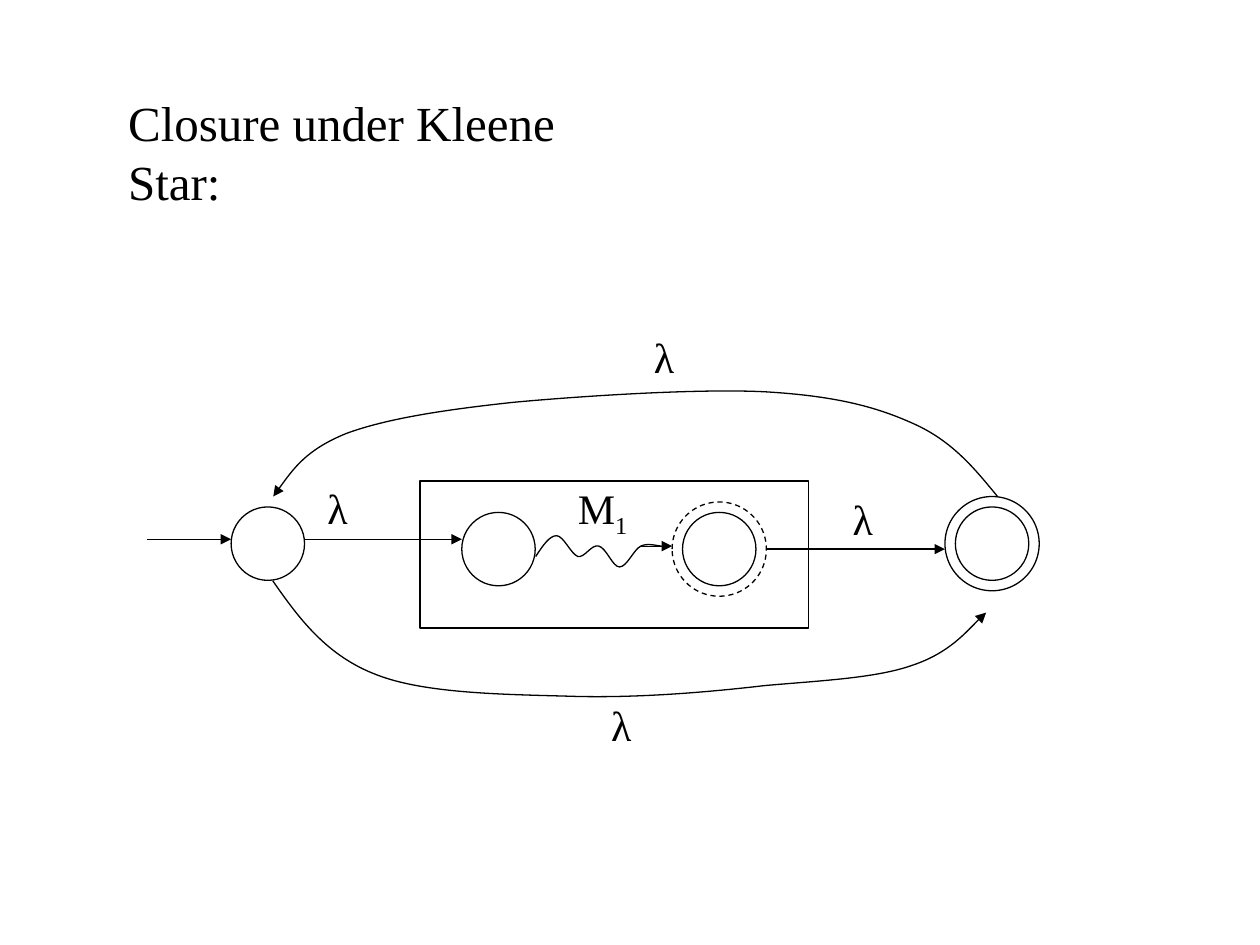
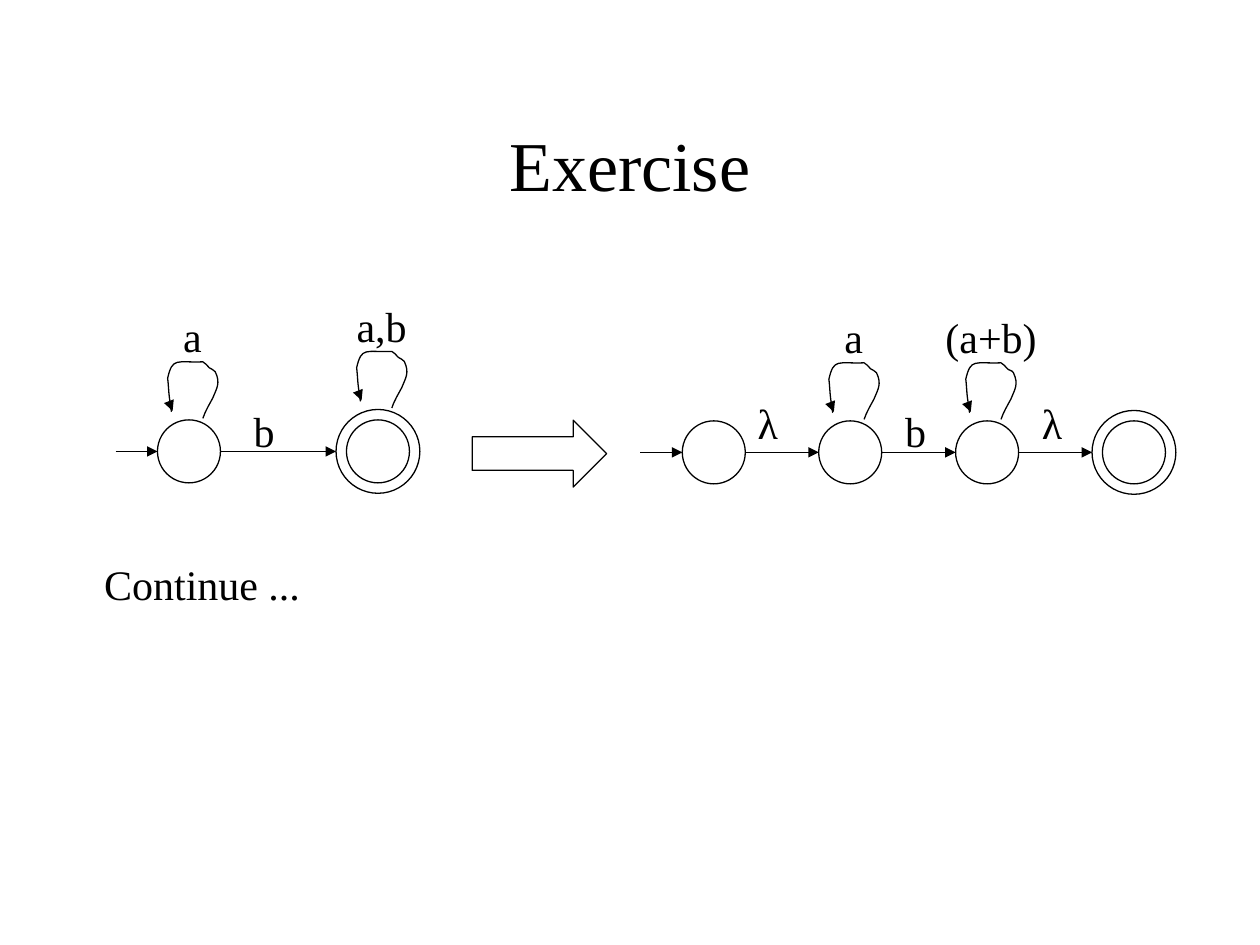
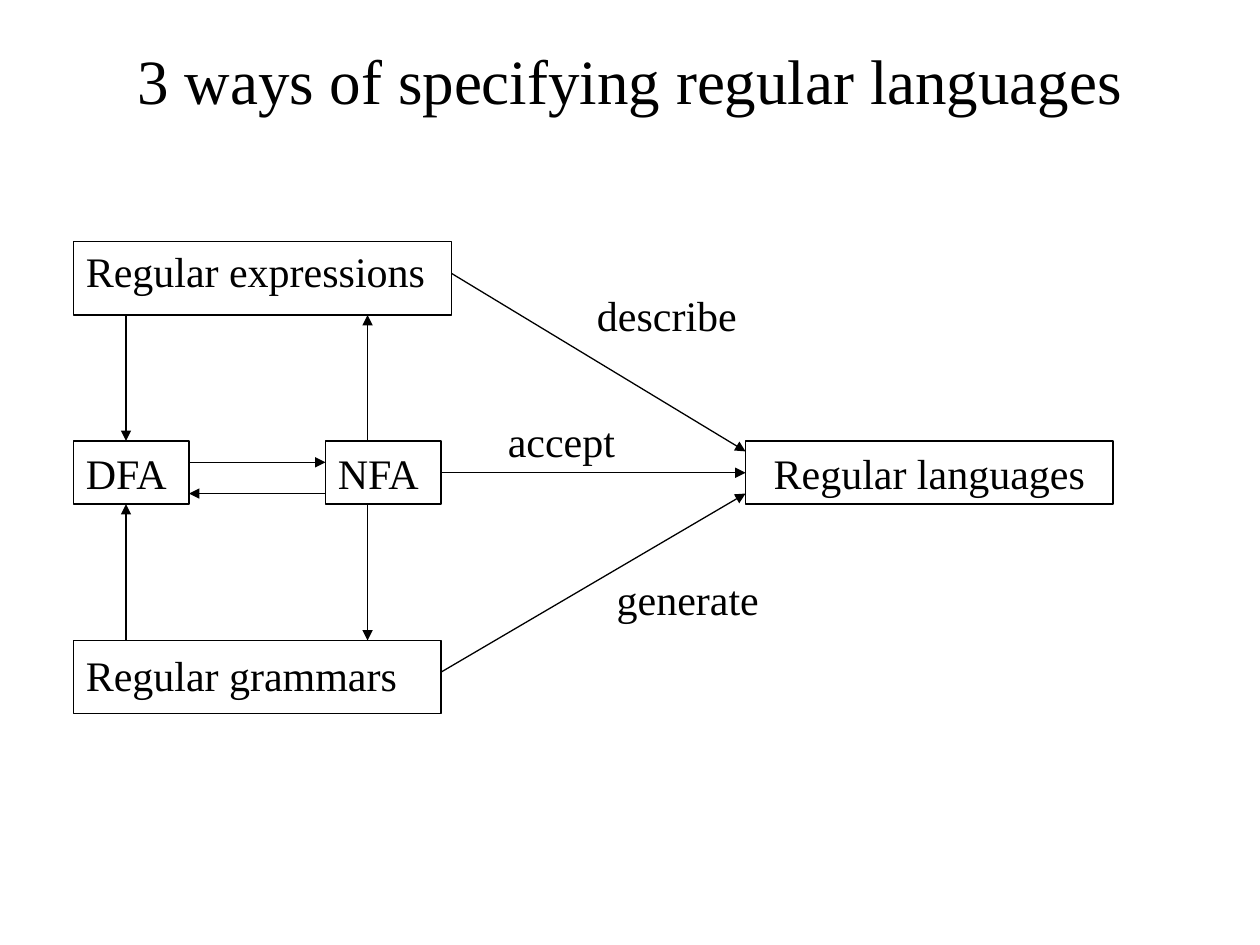
"""Build three slides on finite automata and regular languages."""
from typing import NamedTuple

from lxml.etree import SubElement
from pptx import Presentation
from pptx.dml.color import RGBColor
from pptx.enum.dml import MSO_LINE
from pptx.enum.shapes import MSO_CONNECTOR, MSO_SHAPE
from pptx.enum.text import MSO_ANCHOR, MSO_AUTO_SIZE, PP_ALIGN
from pptx.oxml.ns import qn
from pptx.util import Cm, Pt

BLACK = RGBColor(0x00, 0x00, 0x00)
WHITE = RGBColor(0xFF, 0xFF, 0xFF)
FONT = "Times New Roman"
TEXT_SIZE = 24
LINE_WIDTH = Pt(0.75)
LABEL_HEIGHT = 1.27
LETTER_WIDTH = 0.91
STATE_RADIUS = 0.635
RING_GAP = 0.21

SKIP_CURVE = [
    (0.53, 0.76), (1.09, 1.52), (2.11, 1.9),
    (3.12, 2.29), (4.83, 2.29), (6.12, 2.33),
    (7.44, 2.36), (8.81, 2.24), (9.93, 2.11),
    (11.07, 2.01), (12.17, 1.96), (12.9, 1.7),
    (13.64, 1.45), (14.15, 0.84), (14.38, 0.64)]
REPEAT_CURVE = [
    (-0.46, -0.56), (-0.91, -1.12), (-1.7, -1.47),
    (-2.49, -1.83), (-3.33, -2.03), (-4.67, -2.11),
    (-5.99, -2.18), (-8.33, -2.03), (-9.75, -1.9),
    (-11.15, -1.75), (-12.32, -1.57), (-13.13, -1.27),
    (-13.94, -0.94), (-14.27, -0.46), (-14.6, 0)]
RUN_CURVE = [
    (0.15, -0.23), (0.28, -0.42), (0.42, -0.42),
    (0.56, -0.42), (0.71, -0.05), (0.85, 0),
    (0.99, 0.03), (1.12, -0.25), (1.27, -0.21),
    (1.42, -0.18), (1.55, 0.21), (1.69, 0.21),
    (1.84, 0.21), (1.98, -0.15), (2.12, -0.21),
    (2.26, -0.28), (2.46, -0.21), (2.54, -0.21)]
LOOP_CURVE = [
    (0.05, -0.15), (0.13, -0.28), (0.2, -0.41),
    (0.28, -0.61), (0.36, -0.71), (0.25, -0.94),
    (0.23, -0.99), (0.15, -0.99), (0.13, -1.02),
    (0.08, -1.07), (0.05, -1.12), (0, -1.14),
    (-0.53, -1.12), (-0.61, -1.24), (-0.71, -0.81),
    (-0.69, -0.66), (-0.69, -0.48), (-0.66, -0.33),
    (-0.61, 0.05), (-0.61, -0.33), (-0.61, -0.15)]


class State(NamedTuple):
    """A state of an automaton, with the label of its loop if it has one."""
    x: float
    loop: str = ""
    loop_width: float = 0
    final: bool = False

    @property
    def radius(self):
        """Return the outer radius, ring included."""
        return STATE_RADIUS + (RING_GAP if self.final else 0)


class Edge(NamedTuple):
    """The label between two states, with its shift and its rise."""
    text: str
    shift: float
    rise: float


def format_text(paragraph, size=TEXT_SIZE, align=PP_ALIGN.LEFT):
    """Set the shared font on a paragraph."""
    paragraph.alignment = align
    paragraph.font.name = FONT
    paragraph.font.size = Pt(size)
    paragraph.font.color.rgb = BLACK


def add_title(slide, text, left, top, width, height, size, align=PP_ALIGN.CENTER):
    """Place and format the title placeholder."""
    title = slide.shapes.title
    title.left, title.top, title.width, title.height = map(Cm, (left, top, width, height))
    frame = title.text_frame
    frame.text = text
    frame.auto_size = MSO_AUTO_SIZE.NONE
    frame.vertical_anchor = MSO_ANCHOR.MIDDLE
    format_text(frame.paragraphs[0], size, align)


def add_label(slide, text, left, top, width=LETTER_WIDTH, align=PP_ALIGN.LEFT):
    """Add a one-line label and return its paragraph."""
    label = slide.shapes.add_textbox(Cm(left), Cm(top), Cm(width), Cm(LABEL_HEIGHT))
    label.text_frame.word_wrap = False
    paragraph = label.text_frame.paragraphs[0]
    paragraph.text = text
    format_text(paragraph, align=align)
    return paragraph


def draw_line(line):
    """Give a line the shared colour and width."""
    line.color.rgb = BLACK
    line.width = LINE_WIDTH


def add_arrowhead(shape):
    """Put a triangle at the end of a line."""
    SubElement(shape.element.spPr.find(qn("a:ln")), qn("a:tailEnd"), type="triangle")


def add_outline(slide, kind, left, top, width, height):
    """Add an unfilled preset shape."""
    outline = slide.shapes.add_shape(kind, Cm(left), Cm(top), Cm(width), Cm(height))
    outline.shadow.inherit = False
    outline.fill.background()
    draw_line(outline.line)
    return outline


def add_circle(slide, x, y, radius):
    """Add a circle around a centre."""
    return add_outline(slide, MSO_SHAPE.OVAL, x - radius, y - radius, 2 * radius, 2 * radius)


def add_arrow(slide, x1, y1, x2, y2):
    """Add a straight arrow."""
    arrow = slide.shapes.add_connector(MSO_CONNECTOR.STRAIGHT, Cm(x1), Cm(y1), Cm(x2), Cm(y2))
    draw_line(arrow.line)
    add_arrowhead(arrow)
    SubElement(arrow.element.spPr, qn("a:effectLst"))


def add_curve(slide, x, y, offsets, arrowhead=True):
    """Add a curve of cubic segments, given by offsets from its start."""
    builder = slide.shapes.build_freeform(Cm(x), Cm(y))
    builder.add_line_segments([(Cm(x + dx), Cm(y + dy)) for dx, dy in offsets], close=False)
    curve = builder.convert_to_shape()
    curve.shadow.inherit = False
    curve.fill.background()
    draw_line(curve.line)
    if arrowhead:
        add_arrowhead(curve)
    outline = next(curve.element.iter(qn("a:path")))
    steps = outline.findall(qn("a:lnTo"))
    for first in range(0, len(steps), 3):
        cubic = SubElement(outline, qn("a:cubicBezTo"))
        for step in steps[first:first + 3]:
            cubic.append(step[0])
            outline.remove(step)


def add_kleene_star(slide, left, top):
    """Draw the automaton that repeats a machine any number of times."""
    radius, ring = 0.74, 0.95
    outer_axis, inner_axis = top + 4.41, top + 4.52
    for x, axis in ((2.43, outer_axis), (7.08, inner_axis),
                    (11.53, inner_axis), (17.03, outer_axis)):
        add_circle(slide, left + x, axis, radius)
    add_circle(slide, left + 17.03, outer_axis, ring)
    add_circle(slide, left + 11.53, inner_axis, ring).line.dash_style = MSO_LINE.DASH
    add_outline(slide, MSO_SHAPE.RECTANGLE, left + 5.5, top + 3.15, 7.83, 2.96)
    for x1, x2, y in ((0, 1.69, 4.32), (3.17, 6.34, 4.32),
                      (9.94, 10.58, 4.46), (12.48, 16.08, 4.52)):
        add_arrow(slide, left + x1, top + y, left + x2, top + y)
    add_curve(slide, left + 2.53, top + 5.16, SKIP_CURVE)
    add_curve(slide, left + 17.14, top + 3.46, REPEAT_CURVE)
    add_curve(slide, left + 7.83, top + 4.67, RUN_CURVE, arrowhead=False)
    for x, y in ((9.96, 0), (3.38, 3.05), (13.97, 3.28), (9.1, 7.42)):
        add_label(slide, "λ", left + x, top + y)
    machine = add_label(slide, "M", left + 8.43, top + 3.05, 1.5)
    index = machine.add_run()
    index.text = "1"
    index.font.element.set("baseline", "-25000") if hasattr(index.font, "element") else \
        next(machine.runs[1]._r.iter(qn("a:rPr"))).set("baseline", "-25000")


def add_automaton(slide, left, axis, states, edges):
    """Draw a row of states joined by labelled arrows."""
    for state in states:
        x = left + state.x
        add_circle(slide, x, axis, STATE_RADIUS)
        if state.final:
            add_circle(slide, x, axis, state.radius)
        if state.loop:
            add_curve(slide, x + 0.28, axis - state.radius - 0.03, LOOP_CURVE)
            add_label(slide, state.loop, x + 0.08 - state.loop_width / 2,
                      axis - state.radius - 2.32, state.loop_width)
    add_arrow(slide, left, axis, left + states[0].x - states[0].radius, axis)
    for source, target, edge in zip(states, states[1:], edges):
        start = left + source.x + source.radius
        add_arrow(slide, start, axis, left + target.x - target.radius, axis)
        add_label(slide, edge.text, start + edge.shift, axis - edge.rise)


def add_node(slide, text, left, top, width, height, inset, align=PP_ALIGN.LEFT):
    """Add a framed term, its text set down by the inset."""
    node = add_outline(slide, MSO_SHAPE.RECTANGLE, left, top, width, height)
    frame = node.text_frame
    frame.word_wrap = False
    frame.vertical_anchor = MSO_ANCHOR.TOP
    frame.margin_top = Cm(inset)
    frame.text = text
    format_text(frame.paragraphs[0], align=align)


def add_language_map(slide, left, top):
    """Draw how the formalisms convert and specify regular languages."""
    middle, bottom = 4.02, 8.04
    for text, x, y, width, height, inset in (
            ("Regular expressions", 0, 0, 7.62, 1.48, 0.08),
            ("DFA", 0, middle, 2.33, 1.27, 0.13),
            ("NFA", 5.08, middle, 2.33, 1.27, 0.13),
            ("Regular grammars", 0, bottom, 7.41, 1.48, 0.18)):
        add_node(slide, text, left + x, top + y, width, height, inset)
    add_node(slide, "Regular languages", left + 13.55, top + middle, 7.41, 1.27, 0.13,
             PP_ALIGN.CENTER)
    for x1, y1, x2, y2 in (
            (1.06, bottom, 1.06, 5.29), (1.06, 1.48, 1.06, middle),
            (5.93, 5.29, 5.93, bottom), (5.93, middle, 5.93, 1.48),
            (2.33, 4.45, 5.08, 4.45), (5.08, 5.08, 2.33, 5.08),
            (7.62, 0.64, 13.55, 4.23), (7.41, 4.66, 13.55, 4.66),
            (7.41, 8.68, 13.55, 5.08)):
        add_arrow(slide, left + x1, top + y1, left + x2, top + y2)
    for verb, x, y, width in (("describe", 9.74, 0.85, 4.45),
                              ("accept", 7.83, 3.39, 4.02),
                              ("generate", 9.74, 6.56, 5.29)):
        add_label(slide, verb, left + x, top + y, width, PP_ALIGN.CENTER)


def add_slide(deck):
    """Add a title-only slide on white."""
    slide = deck.slides.add_slide(deck.slide_layouts[5])
    slide.background.fill.solid()
    slide.background.fill.fore_color.rgb = WHITE
    return slide


def build_closure(deck):
    """Build the slide on the Kleene star."""
    slide = add_slide(deck)
    add_title(slide, "Closure under Kleene Star:", 2.33, 2.33, 11.2, 1.45, 28, PP_ALIGN.LEFT)
    add_kleene_star(slide, 2.97, 6.55)


def build_exercise(deck):
    """Build the exercise slide."""
    slide = add_slide(deck)
    add_title(slide, "Exercise", 1.9, 1.7, 21.6, 3.18, 40)
    add_automaton(slide, 2.33, 9.1,
                  [State(1.48, "a", 0.89), State(5.29, "a,b", 1.52, final=True)],
                  [Edge("b", 0.42, 1.06)])
    add_outline(slide, MSO_SHAPE.RIGHT_ARROW, 9.52, 8.47, 2.71, 1.35)
    add_automaton(slide, 12.91, 9.12,
                  [State(1.48), State(4.23, "a", 0.89), State(6.99, "(a+b)", 2.34),
                   State(9.95, final=True)],
                  [Edge("λ", 0, 1.24), Edge("b", 0.22, 1.06), Edge("λ", 0.22, 1.24)])
    add_label(slide, "Continue ...", 1.85, 11.13, 4.45)


def build_specifications(deck):
    """Build the slide on the ways to specify regular languages."""
    slide = add_slide(deck)
    add_title(slide, "3 ways of specifying regular languages", 1.9, 0, 21.6, 3.18, 36)
    add_language_map(slide, 1.48, 4.87)


def main():
    """Build and save the deck."""
    deck = Presentation()
    deck.slide_width, deck.slide_height = Cm(25.4), Cm(19.05)
    build_closure(deck)
    build_exercise(deck)
    build_specifications(deck)
    deck.save("out.pptx")


if __name__ == "__main__":
    main()
